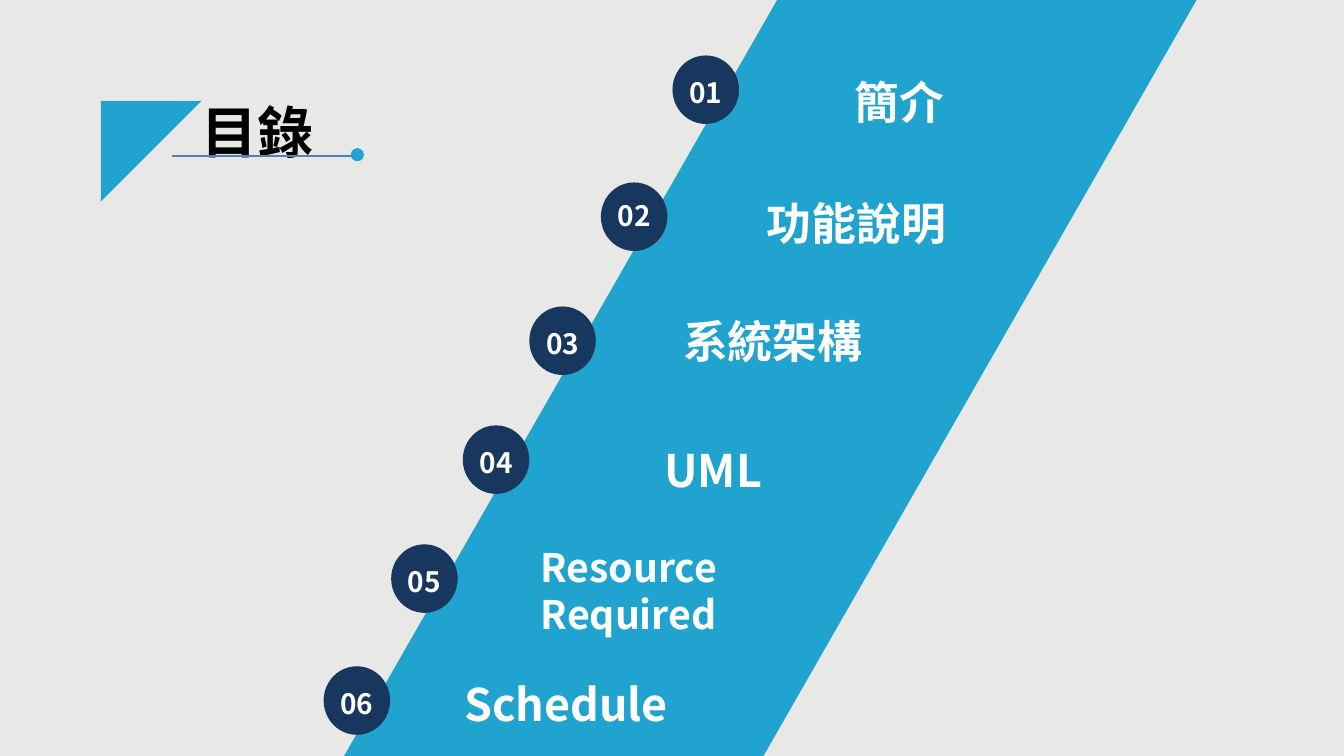
"""Build the contents slide with six numbered chapters along a slanted band."""
from dataclasses import dataclass

from lxml.etree import SubElement
from pptx import Presentation
from pptx.dml.color import RGBColor
from pptx.enum.shapes import MSO_CONNECTOR, MSO_SHAPE
from pptx.enum.text import MSO_ANCHOR, MSO_AUTO_SIZE, PP_ALIGN
from pptx.oxml.ns import qn
from pptx.shapes.autoshape import Shape
from pptx.shapes.shapetree import GroupShapes, SlideShapes
from pptx.text.text import TextFrame
from pptx.util import Inches, Pt

FONT = "Noto Sans CJK SC"
BACKGROUND = RGBColor(0xE8, 0xE8, 0xE6)
BAND_BLUE = RGBColor(0x21, 0xA3, 0xD0)
LINE_BLUE = RGBColor(0x4F, 0x81, 0xBD)
NAVY = RGBColor(0x17, 0x37, 0x5E)
WHITE = RGBColor(0xFF, 0xFF, 0xFF)
BLACK = RGBColor(0, 0, 0)

BADGE_WIDTH, BADGE_HEIGHT = 0.66, 0.68
NUMBER_WIDTH, NUMBER_HEIGHT = 1.14, 0.44


@dataclass(frozen=True)
class Chapter:
    """A chapter with its badge corner and its name box."""

    lines: tuple[str, ...]
    badge_left: float
    badge_top: float
    name_left: float
    name_top: float
    name_width: float = 3.53
    name_height: float = 0.64
    size: int = 32
    number_drop: float = 0.15


CHAPTERS = (
    Chapter(("簡介",), 6.67, 0.55, 7.16, 0.69),
    Chapter(("功能說明",), 5.96, 1.81, 6.56, 1.89, name_width=3.87, number_drop=0.11),
    Chapter(("系統架構",), 5.25, 3.04, 5.9, 3.06),
    Chapter(("UML",), 4.59, 4.22, 5.31, 4.34),
    Chapter(("Resource", "Required"), 3.88, 5.4, 4.47, 5.34, name_height=1.04, size=28),
    Chapter(("Schedule",), 3.21, 6.61, 3.85, 6.66),
)


def write(frame: TextFrame, lines: tuple[str, ...], size: int, color: RGBColor,
          align: PP_ALIGN) -> None:
    """Fill a text frame with bold paragraphs."""
    frame.text = "\n".join(lines)
    frame.word_wrap = True
    frame.vertical_anchor = MSO_ANCHOR.TOP
    frame.auto_size = MSO_AUTO_SIZE.SHAPE_TO_FIT_TEXT
    for para in frame.paragraphs:
        para.alignment = align
        font = para.font
        font.name, font.size, font.bold = FONT, Pt(size), True
        font.color.rgb = color
        properties = para._p.pPr.find(qn("a:defRPr"))
        SubElement(properties, qn("a:ea")).set("typeface", FONT)


def add_label(shapes: SlideShapes | GroupShapes, lines: tuple[str, ...], left: float,
              top: float, width: float, height: float, size: int) -> None:
    """Add a centred white text box."""
    box = shapes.add_textbox(Inches(left), Inches(top), Inches(width), Inches(height))
    write(box.text_frame, lines, size, WHITE, PP_ALIGN.CENTER)


def paint(shape: Shape, color: RGBColor) -> None:
    """Give a shape a plain fill without line or shadow."""
    shape.shadow.inherit = False
    shape.fill.solid()
    shape.fill.fore_color.rgb = color
    shape.line.fill.background()


def add_preset(shapes: SlideShapes | GroupShapes, kind: MSO_SHAPE, left: float, top: float,
               width: float, height: float, color: RGBColor) -> Shape:
    """Add a plain preset shape."""
    shape = shapes.add_shape(kind, Inches(left), Inches(top), Inches(width), Inches(height))
    paint(shape, color)
    return shape


def add_heading(shapes: SlideShapes) -> None:
    """Place the title, its diamond frame and its underline."""
    title = shapes.title
    title.left, title.top = Inches(1.9), Inches(0.72)
    title.width, title.height = Inches(2.03), Inches(0.89)
    write(title.text_frame, ("目錄",), 40, BLACK, PP_ALIGN.LEFT)
    title.text_frame.paragraphs[0].line_spacing = 1.3

    outer = ((1.23, 0.56), (0.66, 1.05), (1.14, 1.61), (1.71, 1.12))
    inner = ((1.23, 0.69), (1.58, 1.11), (1.14, 1.48), (0.79, 1.07))
    builder = shapes.build_freeform(*outer[0], scale=Inches(1))
    builder.add_line_segments(outer[1:], close=True)
    builder.move_to(*inner[0])
    builder.add_line_segments(inner[1:], close=True)
    paint(builder.convert_to_shape(), BAND_BLUE)

    underline = shapes.add_connector(
        MSO_CONNECTOR.STRAIGHT, Inches(3.52), Inches(1.55), Inches(1.71), Inches(1.55))
    underline.line.color.rgb = LINE_BLUE
    underline.line.width = Pt(1.5)
    SubElement(underline._element.spPr, qn("a:effectLst"))
    add_preset(shapes, MSO_SHAPE.OVAL, 3.48, 1.47, 0.13, 0.13, BAND_BLUE)


def add_chapter(shapes: SlideShapes, number: int, chapter: Chapter) -> None:
    """Add a numbered badge and the chapter name."""
    badge = shapes.add_group_shape().shapes
    add_preset(badge, MSO_SHAPE.OVAL, chapter.badge_left, chapter.badge_top,
               BADGE_WIDTH, BADGE_HEIGHT, NAVY)
    add_label(badge, (f"{number:02}",),
              chapter.badge_left - (NUMBER_WIDTH - BADGE_WIDTH) / 2,
              chapter.badge_top + chapter.number_drop, NUMBER_WIDTH, NUMBER_HEIGHT, 20)
    add_label(shapes, chapter.lines, chapter.name_left, chapter.name_top,
              chapter.name_width, chapter.name_height, chapter.size)


def main() -> None:
    """Build and save the deck."""
    deck = Presentation()
    deck.slide_width, deck.slide_height = Inches(13.33), Inches(7.5)
    page = deck.slides.add_slide(deck.slide_layouts[5])
    page.background.fill.solid()
    page.background.fill.fore_color.rgb = BACKGROUND

    add_heading(page.shapes)
    band = add_preset(page.shapes, MSO_SHAPE.RECTANGLE, 5.78, -2.4, 3.6, 12.51, BAND_BLUE)
    band.rotation = 29.8
    band.line.color.rgb = BAND_BLUE
    band.line.width = Pt(0.75)
    for number, chapter in enumerate(CHAPTERS, start=1):
        add_chapter(page.shapes, number, chapter)
    deck.save("out.pptx")


if __name__ == "__main__":
    main()
